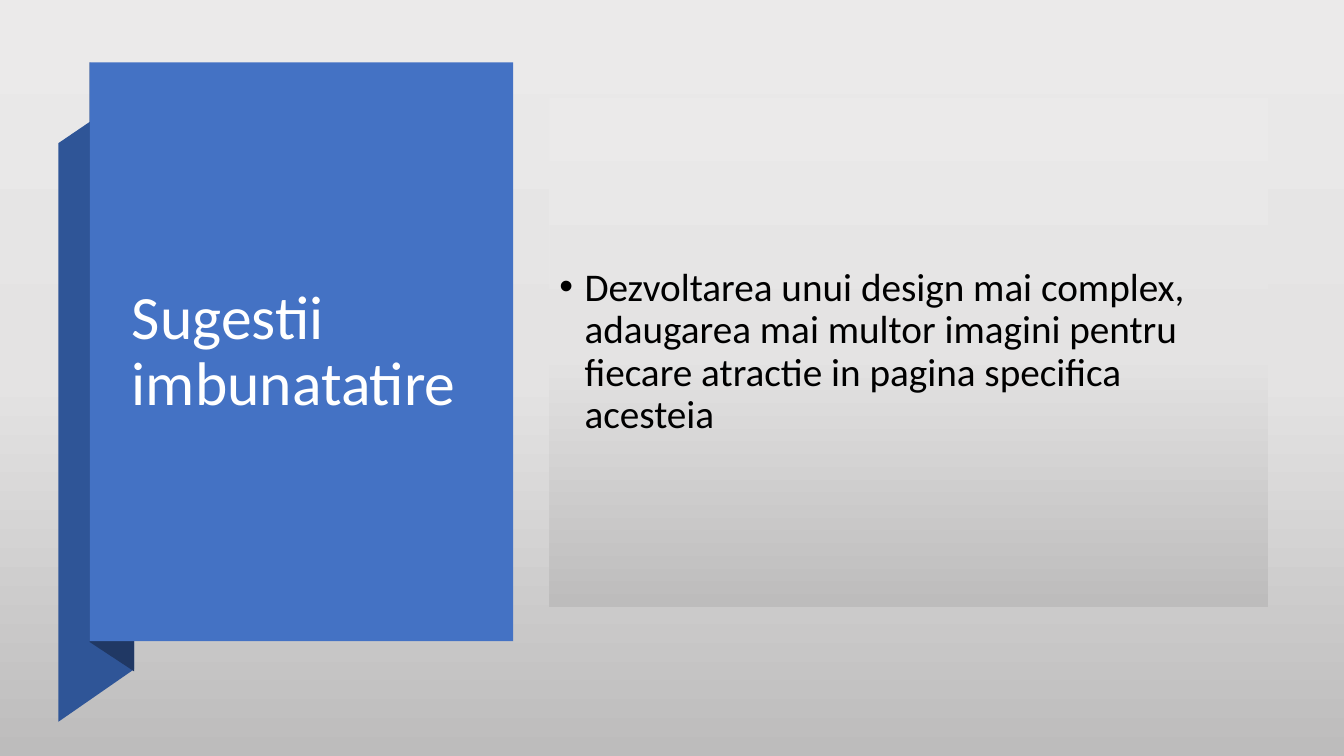
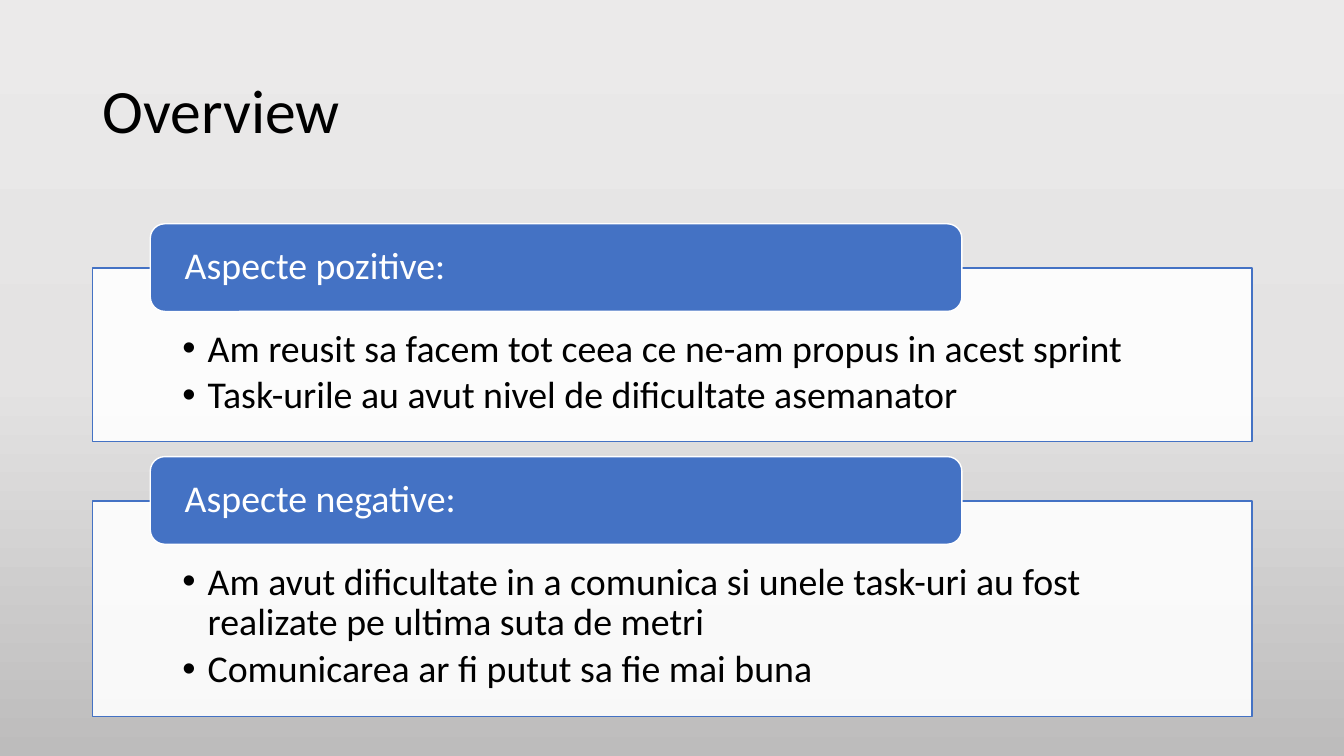
import copy

import pptx
import pptx.dml.color
import pptx.enum.shapes
import pptx.enum.text
import pptx.oxml
import pptx.oxml.ns
import pptx.util

RGBColor = pptx.dml.color.RGBColor
Shape = pptx.enum.shapes.MSO_SHAPE
Anchor = pptx.enum.text.MSO_ANCHOR
Align = pptx.enum.text.PP_ALIGN
qn = pptx.oxml.ns.qn

# Shared style: 100 px to the inch
PX = 9144
PAGE_WIDTH, PAGE_HEIGHT = 1333, 750
FONT = "Calibri"
TITLE_SIZE, BODY_SIZE, PANEL_SIZE = 44, 28, 27
LINE_SPACING = 0.9
BULLET_INDENT = 25
DEFAULT_INSETS = (10, 5, 10, 5)

BLUE = RGBColor(0x44, 0x72, 0xC4)
MID_BLUE = RGBColor(0x2F, 0x55, 0x97)
DARK_BLUE = RGBColor(0x20, 0x38, 0x64)
WHITE = RGBColor(0xFF, 0xFF, 0xFF)
BLACK = RGBColor(0x00, 0x00, 0x00)
GREYS = (
    (0, RGBColor(0xEB, 0xEA, 0xEA)),
    (0.5, RGBColor(0xE4, 0xE3, 0xE3)),
    (1, RGBColor(0xBD, 0xBC, 0xBC)),
)


def emu(*lengths):
    return [length * PX for length in lengths]


# Fills and outlines
def fill_grey_gradient(owner, fill):
    """Fill a page or shape with the grey gradient, from top to bottom."""
    fill.gradient()
    fill.gradient_angle = 270
    stop_list = next(owner.element.iter(qn("a:gsLst")))
    stop_list.append(copy.deepcopy(stop_list[-1]))
    for stop, (position, color) in zip(fill.gradient_stops, GREYS):
        stop.position = position
        stop.color.rgb = color


def set_opacity(shape, percent):
    color = next(shape.element.spPr.iter(qn("a:srgbClr")))
    alpha = color.makeelement(qn("a:alpha"), {"val": str(percent * 1000)})
    color.append(alpha)


def paint(shape, color, line_color=None):
    shape.shadow.inherit = False
    shape.fill.solid()
    shape.fill.fore_color.rgb = color
    if line_color is None:
        shape.line.fill.background()
    else:
        shape.line.color.rgb = line_color
        shape.line.width = pptx.util.Pt(1)


def add_block(page, kind, box, color, line_color=None):
    block = page.shapes.add_shape(kind, *emu(*box))
    paint(block, color, line_color)
    return block


def add_polygon(page, points, color):
    corners = [emu(*point) for point in points]
    builder = page.shapes.build_freeform(*corners[0], scale=1)
    builder.add_line_segments(corners[1:], close=True)
    paint(builder.convert_to_shape(), color)


# Text
def add_bullet(para):
    properties = para._p.get_or_add_pPr()
    properties.set("marL", str(BULLET_INDENT * PX))
    properties.set("indent", str(-BULLET_INDENT * PX))
    for tag, attributes in (
        ("a:buFont", {"typeface": "Arial"}),
        ("a:buChar", {"char": "•"}),
    ):
        properties.append(properties.makeelement(qn(tag), attributes))


def write(shape, lines, size, color, anchor=Anchor.MIDDLE,
          insets=DEFAULT_INSETS, bullets=False, before=0, after=0):
    frame = shape.text_frame
    frame.word_wrap = True
    frame.vertical_anchor = anchor
    (frame.margin_left, frame.margin_top,
     frame.margin_right, frame.margin_bottom) = emu(*insets)
    frame.text = "\n".join(lines)
    for para in frame.paragraphs:
        para.alignment = Align.LEFT
        para.line_spacing = LINE_SPACING
        para.space_before = pptx.util.Pt(before)
        para.space_after = pptx.util.Pt(after)
        if bullets:
            add_bullet(para)
        for span in para.runs:
            span.font.name = FONT
            span.font.size = pptx.util.Pt(size)
            span.font.color.rgb = color


def add_title(page, box, text, color):
    title = page.shapes.add_textbox(*emu(*box))
    write(title, [text], TITLE_SIZE, color)


def add_page(deck):
    page = deck.slides.add_slide(deck.slide_layouts[6])
    fill_grey_gradient(page, page.background.fill)
    return page


# Folded ribbon with the title on its front
def add_ribbon(page, box, text):
    left, top, width, height = box
    bottom = top + height
    outer, inner = left - 31, left + 44
    add_polygon(page, [(outer, bottom + 80), (inner, bottom + 28),
                       (inner, top + 29), (outer, top + 80)], MID_BLUE)
    add_polygon(page, [(left, bottom + 1), (inner, bottom + 30),
                       (inner, top + 28), (left, top)], DARK_BLUE)
    add_block(page, Shape.RECTANGLE, box, BLUE)
    title_box = (left + 32, top + 35, width - 67, height - 68)
    add_title(page, title_box, text, WHITE)


def add_body(page, box, lines):
    body = add_block(page, Shape.RECTANGLE, box, WHITE)
    fill_grey_gradient(body, body.fill)
    write(body, lines, BODY_SIZE, BLACK, insets=(10, 5, 14, 5),
          bullets=True, before=10)


# Bulleted panel with a heading tab across its top edge
def add_panel(page, box, heading, lines):
    left, top, _, _ = box
    panel = add_block(page, Shape.RECTANGLE, box, WHITE, BLUE)
    set_opacity(panel, 90)
    write(panel, lines, PANEL_SIZE, BLACK, Anchor.TOP, (89, 61, 89, 21),
          bullets=True, after=4)
    tab_box = (left + 57, top - 44, 805, 87)
    tab = add_block(page, Shape.ROUNDED_RECTANGLE, tab_box, BLUE, WHITE)
    write(tab, [heading], PANEL_SIZE, WHITE, insets=(30, 0, 30, 0))


# Pages
def add_suggestions(deck):
    page = add_page(deck)
    add_ribbon(page, (89, 62, 420, 574), "Sugestii imbunatatire")
    add_body(page, (545, 97, 713, 505), [
        "Dezvoltarea unui design mai complex, adaugarea mai multor imagini "
        "pentru fiecare atractie in pagina specifica acesteia",
    ])


def add_overview(deck):
    page = add_page(deck)
    left, width = 92, 1150
    add_title(page, (left, 40, width, 145), "Overview", BLACK)
    panels = (
        (172, "Aspecte pozitive:", [
            "Am reusit sa facem tot ceea ce ne-am propus in acest sprint",
            "Task-urile au avut nivel de dificultate asemanator",
        ]),
        (214, "Aspecte negative:", [
            "Am avut dificultate in a comunica si unele task-uri au fost "
            "realizate pe ultima suta de metri",
            "Comunicarea ar fi putut sa fie mai buna",
        ]),
    )
    top, gap = 266, 59
    for height, heading, lines in panels:
        add_panel(page, (left, top, width, height), heading, lines)
        top += height + gap


def main():
    deck = pptx.Presentation()
    deck.slide_width, deck.slide_height = emu(PAGE_WIDTH, PAGE_HEIGHT)
    add_suggestions(deck)
    add_overview(deck)
    deck.save("out.pptx")


if __name__ == "__main__":
    main()
